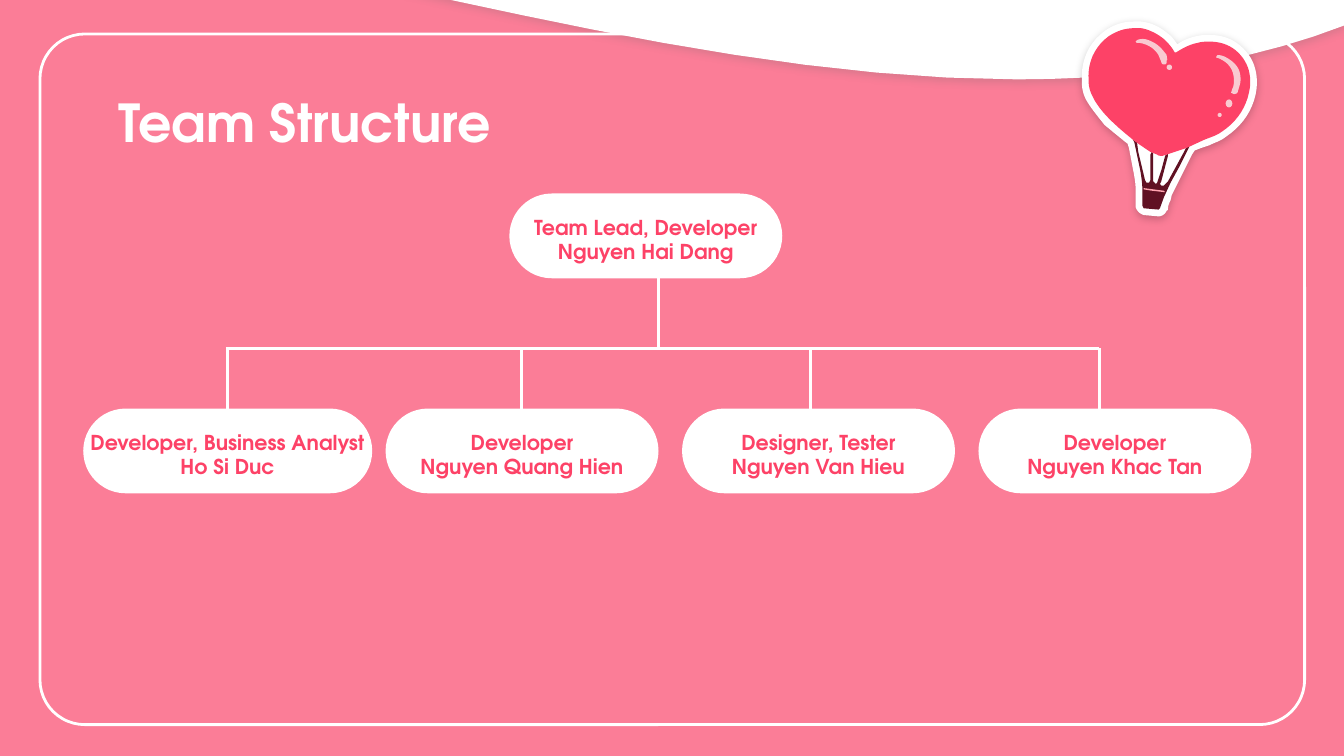
from dataclasses import dataclass

from lxml import etree
from pptx import Presentation
from pptx import util as u
from pptx.dml.color import RGBColor
from pptx.enum import shapes, text
from pptx.oxml.ns import qn

FONT = "TeX Gyre Adventor"
WHITE, PINK, ROSE = "FFFFFF", "FB7D97", "FD4267"
MAROON, BLUSH, SHINE = "601123", "FFA3AF", "F9CAD1"
CURVE_STEPS = 10
PILL_WIDTH, PILL_HEIGHT = 146.2, 45.4
LABEL_WIDTH, LABEL_HEIGHT = 163.4, 41.8
ROW_TOP, BAR_Y = 218.9, 186.5


@dataclass
class Member:
    role: str
    name: str
    left: float
    top: float = ROW_TOP
    width: float = PILL_WIDTH


@dataclass
class Shadow:
    color: str
    opacity: int


@dataclass
class Outline:
    color: str
    start: tuple
    segments: list
    shadow: Shadow | None = None


@dataclass
class Dot:
    left: float
    top: float
    width: float
    height: float


LEAD = Member("Team Lead, Developer", "Nguyen Hai Dang", 272.9, 103.7)
TEAM = [
    Member("Developer, Business Analyst", "Ho Si Duc", 44.6, width=154.8),
    Member("Developer", "Nguyen Quang Hien", 206.6),
    Member("Designer, Tester", "Nguyen Van Hieu", 365.4),
    Member("Developer", "Nguyen Khac Tan", 524.2),
]
DROPS = [121.7, 279.4, 434.2, 589]

WAVE = Outline(WHITE, (-64.8, -84.2), [
    (-64.8, -37.4), (-38.9, -37.4),
    (35.3, -37.4, 113.8, -27.4, 172.1, -15.1), (287.3, 9.4, 420.5, 42.5, 545, 42.5),
    (606.2, 42.5, 666, 34.6, 720, 13.7), (720, -84.2)], Shadow("666666", 21))
STICKER = Outline(WHITE, (607.7, 11.5), [
    (601.9, 11.5, 596.9, 13, 591.8, 16.6), (583.2, 23, 578.9, 32.4, 579.6, 43.9),
    (579.6, 47.5, 580.3, 50.4, 581.8, 53.3), (584.6, 58.3, 589, 63.4, 591.8, 67),
    (596.2, 70.6, 600.5, 74.2, 604.1, 77), (604.8, 79.2), (607, 90.7),
    (607.7, 94.3, 608.4, 97.9, 608.4, 101.5), (608.4, 110.9),
    (609.1, 113, 610.6, 114.5, 612.7, 115.2), (620.6, 115.9),
    (622.8, 115.9, 624.2, 114.5, 625, 113), (625.7, 112.3),
    (625.7, 110.2, 626.4, 108.7, 627.1, 107.3), (627.8, 104.4), (630, 100.1),
    (633.6, 92.9), (638.6, 82.8), (640.1, 80.6), (643.7, 79.2), (648, 77.8),
    (650.9, 76.3, 653.8, 75.6, 656.6, 73.4), (666, 67, 671.8, 58.3, 673.2, 47.5),
    (673.9, 40.3, 672.5, 33.1, 667.4, 27.4), (662.4, 21.6, 655.9, 18.7, 648, 18.7),
    (645.8, 18.7, 643.7, 18.7, 640.8, 19.4), (637.2, 20.2, 633.6, 21.6, 630.7, 23.8),
    (629.3, 21.6, 627.8, 19.4, 625.7, 18), (621.4, 14.4, 617, 12.2, 611.3, 11.5)],
    Shadow("000000", 20))
BASKET = Outline(MAROON, (607, 74.9), [
    (607.7, 76.3), (610.6, 90), (611.3, 93.6, 612, 97.9, 612, 102.2), (612, 110.2),
    (612.7, 111.6), (620.6, 112.3), (621.4, 111.6), (623.5, 105.8), (627.1, 97.9),
    (632.2, 88.6), (637.2, 78.5), (635.8, 78.5), (634.3, 81.4), (625.7, 97.2),
    (623.5, 99.4), (622.1, 99.4), (621.4, 98.6), (622.1, 97.2), (625.7, 83.5),
    (625.7, 82.1), (624.2, 83.5), (622.1, 91.4), (619.9, 97.9), (619.2, 98.6),
    (617.8, 97.2), (617.8, 82.1), (617, 81.4), (616.3, 82.8), (616.3, 96.5),
    (615.6, 97.9), (614.2, 97.9), (613.4, 96.5), (612.7, 93.6), (609.8, 81.4),
    (609.1, 76.3)])
STRIPE = Outline(BLUSH, (612.7, 100.8), [
    (612.7, 101.5), (617, 102.2), (624.2, 103), (623.5, 102.2)])
HEART = Outline(ROSE, (607.7, 15.1), [
    (602.6, 15.1, 598.3, 16.6, 594, 19.4), (586.1, 25.2, 582.5, 33.8, 583.2, 43.2),
    (583.2, 46.1, 583.9, 49, 585.4, 51.8), (587.5, 56.2, 591.1, 60.5, 594.7, 64.1),
    (598.3, 67.7, 602.6, 71.3, 607, 74.9), (609.8, 77), (616.3, 81.4), (619.9, 82.8),
    (620.6, 83.5, 621.4, 83.5, 622.8, 83.5), (625, 82.8), (635.8, 79.2),
    (645.1, 74.9), (648.7, 73.4, 651.6, 72.7, 654.5, 70.6),
    (663.1, 64.8, 668.2, 56.9, 669.6, 46.8), (670.3, 40.3, 668.9, 34.6, 664.6, 29.5),
    (660.2, 24.5, 654.5, 22.3, 648, 22.3), (645.8, 22.3, 643.7, 22.3, 641.5, 23),
    (637.2, 23.8, 633.6, 25.9, 630, 28.1), (629.3, 28.1),
    (627.8, 25.2, 625.7, 23, 623.5, 20.9), (619.9, 18, 615.6, 15.8, 611.3, 15.1)])
RIGHT_SHINE = Outline(SHINE, (652.3, 29.5), [
    (651.6, 30.2), (651.6, 31), (653, 31, 653.8, 31.7, 655.2, 32.4),
    (658.8, 34.6, 661, 38.2, 661, 42.5), (661, 44.6, 661, 46.1, 660.2, 47.5),
    (659.5, 49.7), (661, 50.4), (662.4, 50.4, 663.1, 49.7, 663.1, 49),
    (663.8, 46.8, 664.6, 44.6, 664.6, 42.5), (664.6, 37.4, 662.4, 34.6, 659.5, 32.4),
    (657.4, 31, 655.2, 29.5, 652.3, 29.5)])
LEFT_SHINE = Outline(SHINE, (612, 20.9), [
    (610.6, 20.9, 609.1, 21.2, 608.4, 22.3), (609, 23), (610.6, 23),
    (614.9, 23.8, 618.5, 25.9, 620.6, 29.5), (622.1, 33.1),
    (622.1, 33.8, 622.8, 34.6, 623.5, 34.6), (625, 34.6, 625, 33.8, 625, 32.4),
    (625.7, 31.7, 625, 31, 625, 29.5), (622.8, 26.6, 620.6, 23.8, 617, 22.3),
    (615.6, 21.6, 614.2, 20.9, 612, 20.9)])
BALLOON = [STICKER, BASKET, STRIPE, HEART, RIGHT_SHINE, LEFT_SHINE]
DOTS = [Dot(656.6, 53.3, 3.6, 4.3), Dot(625, 34.6, 2.9, 2.9), Dot(652.3, 60.5, 2.2, 2.2)]


def paint(color_format, color: str) -> None:
    color_format.rgb = RGBColor.from_string(color)


def fill_shape(shape, color: str) -> None:
    shape.shadow.inherit = False
    shape.fill.solid()
    paint(shape.fill.fore_color, color)
    shape.line.fill.background()


def add_shadow(shape, shadow: Shadow) -> None:
    effects = shape._element.spPr.find(qn("a:effectLst"))
    outer = etree.SubElement(effects, qn("a:outerShdw"), blurRad=str(u.Pt(4.5)),
                             dist=str(u.Pt(1.5)), dir="5400000", algn="bl", rotWithShape="0")
    color = etree.SubElement(outer, qn("a:srgbClr"), val=shadow.color)
    etree.SubElement(color, qn("a:alpha"), val=str(shadow.opacity * 1000))


def sample_points(outline: Outline) -> list[tuple]:
    points = [outline.start]
    for segment in outline.segments:
        if len(segment) == 2:
            points.append(segment)
            continue
        controls = (points[-1], segment[:2], segment[2:4], segment[4:])
        for step in range(1, CURVE_STEPS + 1):
            t = step / CURVE_STEPS
            weights = ((1 - t) ** 3, 3 * t * (1 - t) ** 2, 3 * t * t * (1 - t), t ** 3)
            points.append(tuple(sum(w * c[axis] for w, c in zip(weights, controls))
                                for axis in (0, 1)))
    return points


def draw_outline(slide, outline: Outline) -> None:
    start, *rest = [(u.Pt(x), u.Pt(y)) for x, y in sample_points(outline)]
    builder = slide.shapes.build_freeform(*start)
    builder.add_line_segments(rest, close=True)
    shape = builder.convert_to_shape()
    fill_shape(shape, outline.color)
    if outline.shadow:
        add_shadow(shape, outline.shadow)


def draw_shape(slide, kind, left: float, top: float, width: float, height: float, color: str):
    shape = slide.shapes.add_shape(kind, u.Pt(left), u.Pt(top), u.Pt(width), u.Pt(height))
    fill_shape(shape, color)
    return shape


def draw_text(slide, content: str, left: float, top: float, width: float, height: float,
              size: float, color: str, alignment) -> None:
    box = slide.shapes.add_textbox(u.Pt(left), u.Pt(top), u.Pt(width), u.Pt(height))
    frame = box.text_frame
    frame.word_wrap = True
    frame.vertical_anchor = text.MSO_ANCHOR.MIDDLE
    frame.margin_left = frame.margin_right = u.Pt(7.2)
    frame.margin_top = frame.margin_bottom = u.Pt(7.2)
    frame.text = content
    for paragraph in frame.paragraphs:
        paragraph.alignment = alignment
        for run in paragraph.runs:
            run.font.name, run.font.size, run.font.bold = FONT, u.Pt(size), True
            paint(run.font.color, color)


def draw_member(slide, member: Member) -> None:
    pill = draw_shape(slide, shapes.MSO_SHAPE.ROUNDED_RECTANGLE, member.left, member.top,
                      member.width, PILL_HEIGHT, WHITE)
    pill.adjustments[0] = 0.5
    label_left = member.left + (member.width - LABEL_WIDTH) / 2
    draw_text(slide, f"{member.role}\n{member.name}", label_left, member.top + 3.6,
              LABEL_WIDTH, LABEL_HEIGHT, 11, ROSE, text.PP_ALIGN.CENTER)


def draw_line(slide, x1: float, y1: float, x2: float, y2: float) -> None:
    line = slide.shapes.add_connector(shapes.MSO_CONNECTOR.STRAIGHT,
                                      u.Pt(x1), u.Pt(y1), u.Pt(x2), u.Pt(y2))
    line.line.width = u.Pt(1.5)
    paint(line.line.color, WHITE)
    etree.SubElement(line._element.spPr, qn("a:effectLst"))


def main() -> None:
    presentation = Presentation()
    presentation.slide_width, presentation.slide_height = u.Pt(720), u.Pt(405)
    slide = presentation.slides.add_slide(presentation.slide_layouts[6])
    slide.background.fill.solid()
    paint(slide.background.fill.fore_color, PINK)

    draw_outline(slide, WAVE)
    border = draw_shape(slide, shapes.MSO_SHAPE.ROUNDED_RECTANGLE, 21.4, 18.2, 677.5, 370, PINK)
    border.adjustments[0] = 0.065
    border.fill.background()
    border.line.width = u.Pt(1.5)
    paint(border.line.color, WHITE)
    draw_text(slide, "Team Structure", 56.2, 42.5, 607.7, 45.4, 28, WHITE, text.PP_ALIGN.LEFT)

    for outline in BALLOON:
        draw_outline(slide, outline)
    for dot in DOTS:
        draw_shape(slide, shapes.MSO_SHAPE.OVAL, dot.left, dot.top, dot.width, dot.height, SHINE)

    for member in [LEAD, *TEAM]:
        draw_member(slide, member)
    for x in DROPS:
        draw_line(slide, x, ROW_TOP, x, BAR_Y)
    draw_line(slide, 121, BAR_Y, DROPS[-1], BAR_Y)
    draw_line(slide, 352.8, BAR_Y, 352.8, LEAD.top + PILL_HEIGHT)
    presentation.save("out.pptx")


if __name__ == "__main__":
    main()
